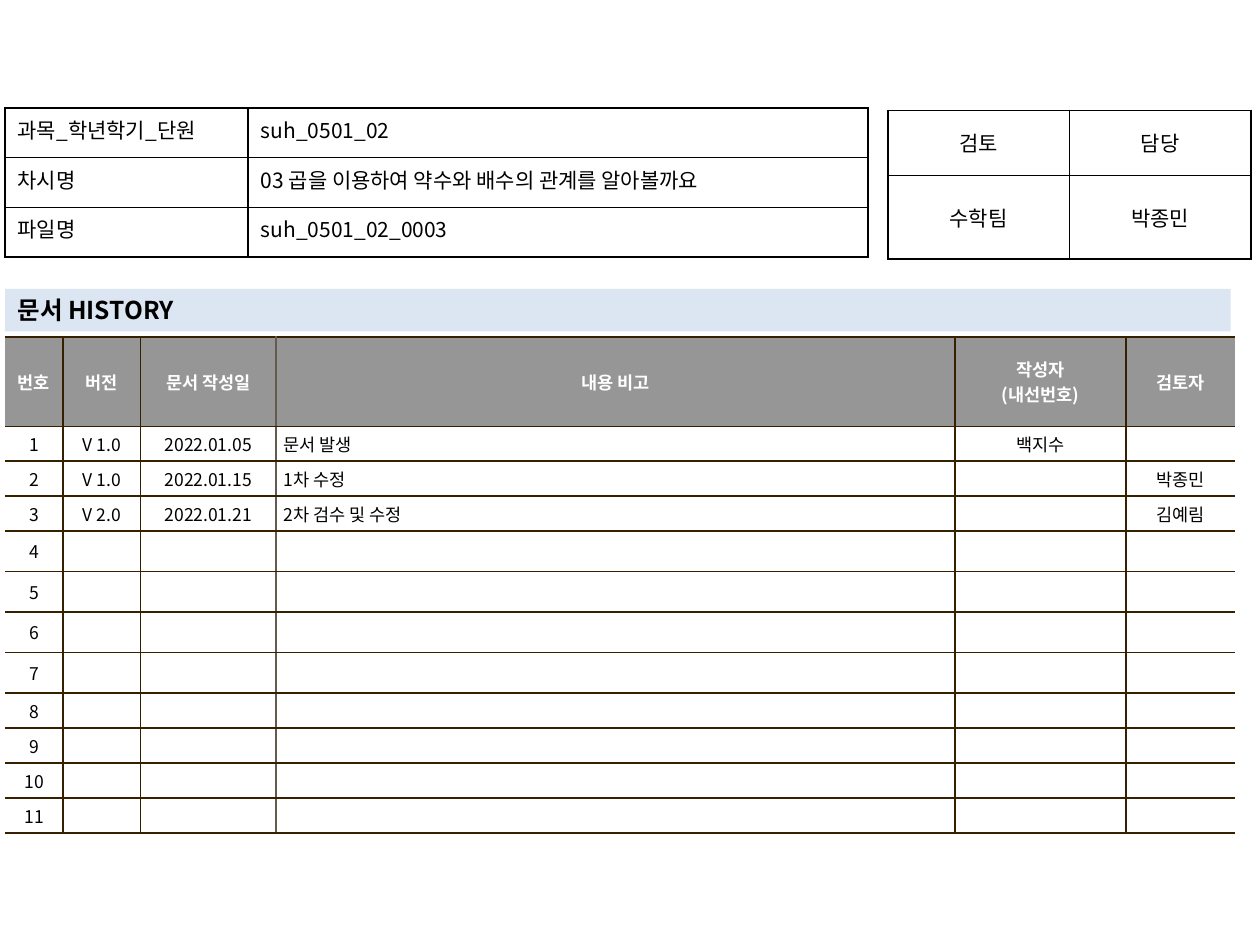
"""Build a document history slide with three tables and a heading bar."""
from dataclasses import dataclass

from lxml.etree import SubElement
from pptx import Presentation
from pptx.dml.color import RGBColor
from pptx.enum.shapes import MSO_SHAPE
from pptx.enum.text import MSO_ANCHOR, PP_ALIGN
from pptx.oxml import parse_xml
from pptx.oxml.ns import nsdecls, qn
from pptx.util import Pt

FONT = "Noto Sans CJK KR"
BLACK = RGBColor(0, 0, 0)
WHITE = RGBColor(255, 255, 255)
GRAY = RGBColor(0x96, 0x96, 0x96)
BLUE = RGBColor(0xDC, 0xE6, 0xF2)
BROWN = RGBColor(0x36, 0x20, 0x00)
TAUPE = RGBColor(0x64, 0x5B, 0x4C)

LEFT, MID, JUST = PP_ALIGN.LEFT, PP_ALIGN.CENTER, PP_ALIGN.JUSTIFY
BODY = {"size": Pt(12), "bold": False}
SMALL = {"size": Pt(10), "bold": False}
HEAD = {"size": Pt(10), "bold": True}
TITLE = {"size": Pt(14), "bold": True}
WIDE = {"margin_left": Pt(7.2), "margin_right": Pt(7.2),
        "margin_top": Pt(3.6), "margin_bottom": Pt(3.6)}
TIGHT = {"margin_left": Pt(4.5), "margin_right": Pt(4.5),
         "margin_top": Pt(2.7), "margin_bottom": Pt(2.7)}


@dataclass
class Grid:
    """Place, sizes, wording and look of one table."""
    left: float
    top: float
    cols: list[float]
    rows: list[float]
    texts: list[list[str]]
    aligns: list[PP_ALIGN]
    pads: dict
    anchor: MSO_ANCHOR
    edge: RGBColor = BLACK
    log: bool = False


def apply(target: object, values: dict) -> None:
    """Set each named attribute on the target."""
    for name, value in values.items():
        setattr(target, name, value)


def write(frame: object, text: str, style: dict, color: RGBColor, align: PP_ALIGN) -> None:
    """Fill a text frame with styled paragraphs."""
    frame.text = text
    for para in frame.paragraphs:
        para.alignment = align
        for run in para.runs:
            apply(run.font, {**style, "name": FONT})
            run.font.color.rgb = color
            SubElement(run.font._element, qn("a:ea"), typeface=FONT)
        if not para.runs:
            SubElement(para._p, qn("a:endParaRPr"), sz=str(int(style["size"].pt * 100)))


def border(cell: object, colors: list[RGBColor | None]) -> None:
    """Draw the left, right, top and bottom lines of a cell."""
    props = cell._tc.get_or_add_tcPr()
    for spot, (side, color) in enumerate(zip("LRTB", colors)):
        fill = f'<a:solidFill><a:srgbClr val="{color}"/></a:solidFill>' if color else "<a:noFill/>"
        line = parse_xml(f'<a:ln{side} {nsdecls("a")} w="12700">{fill}</a:ln{side}>')
        props.insert(spot, line)


def draw_grid(shapes: object, grid: Grid) -> None:
    """Add one table to the slide."""
    cols, rows = grid.cols, grid.rows
    table = shapes.add_table(len(rows), len(cols), Pt(grid.left), Pt(grid.top),
                             Pt(sum(cols)), Pt(sum(rows))).table
    apply(table, {"first_row": False, "horz_banding": False})
    for col, width in zip(table.columns, cols):
        col.width = Pt(width)
    for row, height in zip(table.rows, rows):
        row.height = Pt(height)
    sides = [grid.edge] * (len(cols) + 1)
    if grid.log:
        sides[0] = sides[-1] = None
        sides[3] = TAUPE
    for r, line in enumerate(grid.texts):
        for c, text in enumerate(line):
            cell = table.cell(r, c)
            head = grid.log and r == 0
            style = HEAD if head else SMALL if grid.log else BODY
            apply(cell, {**grid.pads, "vertical_anchor": grid.anchor})
            write(cell.text_frame, text, style, WHITE if head else BLACK,
                  MID if head else grid.aligns[c])
            if grid.log:
                cell.fill.solid()
                cell.fill.fore_color.rgb = GRAY if head else WHITE
            else:
                cell.fill.background()
            border(cell, [sides[c], sides[c + 1], grid.edge, grid.edge])


def draw_bar(shapes: object) -> None:
    """Add the heading bar above the history."""
    bar = shapes.add_shape(MSO_SHAPE.RECTANGLE, Pt(2.9), Pt(165), Pt(700.3), Pt(24.4))
    bar.shadow.inherit = False
    bar.fill.solid()
    bar.fill.fore_color.rgb = BLUE
    bar.line.fill.background()
    apply(bar.text_frame, {**WIDE, "word_wrap": True, "vertical_anchor": MSO_ANCHOR.MIDDLE})
    write(bar.text_frame, "문서 HISTORY", TITLE, BLACK, LEFT)


LOG = [
    ["번호", "버전", "문서 작성일", "내용 비고", "작성자\n(내선번호)", "검토자"],
    ["1", "V 1.0", "2022.01.05", "문서 발생", "백지수", ""],
    ["2", "V 1.0", "2022.01.15", "1차 수정", "", "박종민"],
    ["3", "V 2.0", "2022.01.21", "2차 검수 및 수정", "", "김예림"],
] + [[str(num)] + [""] * 5 for num in range(4, 12)]

GRIDS = [
    Grid(2.9, 192.7, [33.1, 44.2, 77.6, 388, 97.7, 62.4],
         [50.9] + [20] * 3 + [23.15] * 4 + [20] * 4, LOG,
         [MID, MID, MID, LEFT, MID, MID], TIGHT, MSO_ANCHOR.MIDDLE, BROWN, True),
    Grid(507.4, 63.1, [103.7] * 2, [37.1, 47.9],
         [["검토", "담당"], ["수학팀", "박종민"]], [MID, MID], WIDE, MSO_ANCHOR.MIDDLE),
    Grid(2.9, 61.7, [138.9, 354.3], [28.4] * 3,
         [["과목_학년학기_단원", "suh_0501_02"],
          ["차시명", "03 곱을 이용하여 약수와 배수의 관계를 알아볼까요"],
          ["파일명", "suh_0501_02_0003"]], [JUST, LEFT], WIDE, MSO_ANCHOR.TOP),
]


def main() -> None:
    """Build and save the slide."""
    deck = Presentation()
    apply(deck, {"slide_width": Pt(720), "slide_height": Pt(540)})
    shapes = deck.slides.add_slide(deck.slide_layouts[6]).shapes
    for grid in GRIDS:
        draw_grid(shapes, grid)
    draw_bar(shapes)
    deck.save("out.pptx")


if __name__ == "__main__":
    main()
